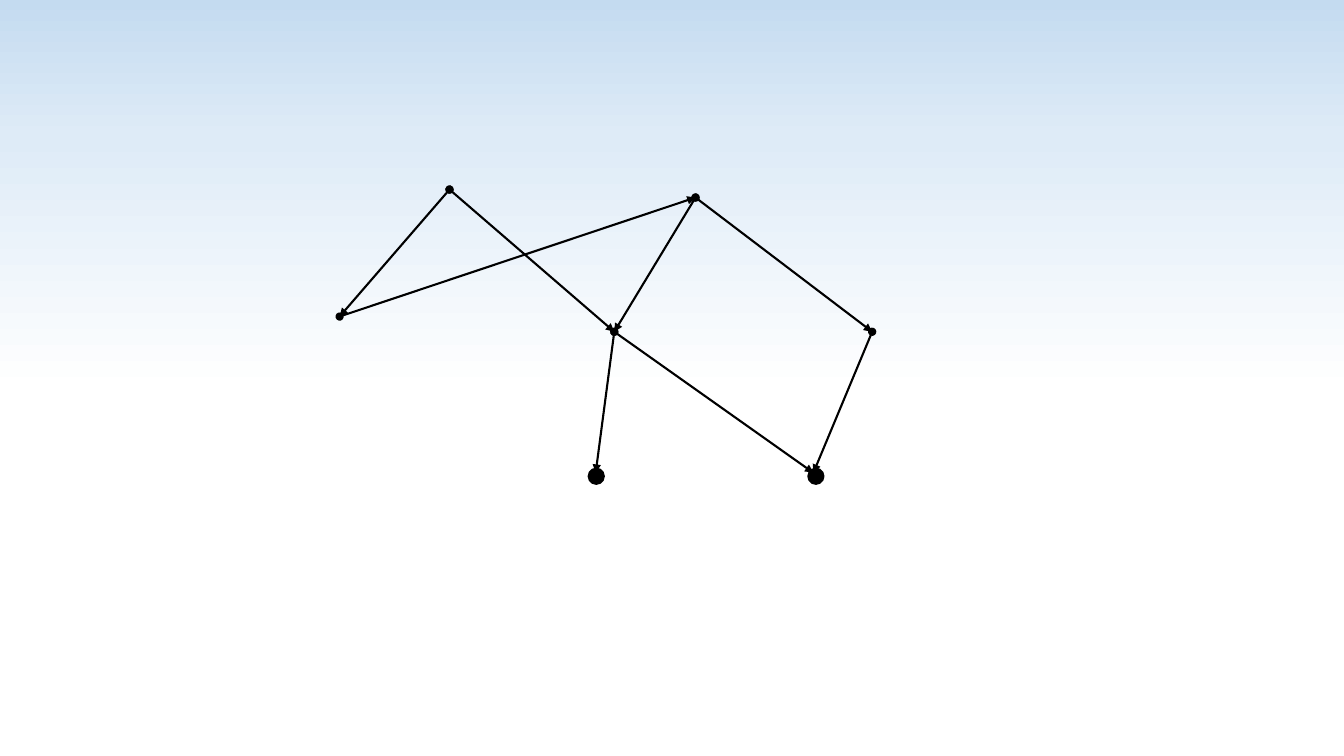
from copy import deepcopy

from lxml import etree
from pptx import Presentation
from pptx import util as u
from pptx.dml.color import RGBColor
from pptx.enum import shapes
from pptx.oxml import ns

BLACK = RGBColor(0x00, 0x00, 0x00)
SKY = RGBColor(0xC4, 0xDB, 0xF0)
PALE_SKY = RGBColor(0xDE, 0xEB, 0xF7)
WHITE = RGBColor(0xFF, 0xFF, 0xFF)

LINE_FORMAT = {"width": u.Pt(1.5)}
BACKGROUND_STOPS = [(0, SKY), (0.18, PALE_SKY), (0.52, WHITE), (0.93, WHITE)]
DOT_SIZE = 10.8

NODES = {
    "top left": (321.1, 135.4),
    "far left": (242.6, 226.1),
    "top right": (496.8, 141.1),
    "middle": (438.8, 237),
    "far right": (623, 237),
    "bottom left": (425.5, 337.7),
    "bottom right": (581, 337.7),
}
EDGES = [
    ("top left", "far left"),
    ("top right", "middle"),
    ("top left", "middle"),
    ("far left", "top right"),
    ("top right", "far right"),
    ("far right", "bottom right"),
    ("middle", "bottom right"),
    ("middle", "bottom left"),
]
DOT_CENTRES = [(425.9, 340.2), (582.8, 340.2)]


def paint_background(slide):
    """Fill the background with a vertical gradient."""
    fill = slide.background.fill
    fill.gradient()
    fill.gradient_angle = 270
    stop_list = slide.element.find(".//" + ns.qn("a:gsLst"))
    while len(stop_list) < len(BACKGROUND_STOPS):
        stop_list.append(deepcopy(stop_list[0]))
    for stop, (position, color) in zip(fill.gradient_stops, BACKGROUND_STOPS):
        stop.position = position
        stop.color.rgb = color


def format_line(line):
    """Give a line its colour and width."""
    line.color.rgb = BLACK
    for name, value in LINE_FORMAT.items():
        setattr(line, name, value)


def add_edge(slide, start, end):
    """Draw an arrow that starts with a round node."""
    connector = slide.shapes.add_connector(
        shapes.MSO_CONNECTOR.STRAIGHT, *map(u.Pt, start + end)
    )
    format_line(connector.line)
    properties = connector.element.spPr
    line = properties.find(ns.qn("a:ln"))
    for tag, kind in {"a:headEnd": "oval", "a:tailEnd": "triangle"}.items():
        etree.SubElement(line, ns.qn(tag), type=kind)
    etree.SubElement(properties, ns.qn("a:effectLst"))


def add_dot(slide, centre):
    """Draw a filled node around a centre point."""
    left, top = (u.Pt(value - DOT_SIZE / 2) for value in centre)
    shape = slide.shapes.add_shape(
        shapes.MSO_SHAPE.OVAL, left, top, u.Pt(DOT_SIZE), u.Pt(DOT_SIZE)
    )
    shape.shadow.inherit = False
    shape.fill.solid()
    shape.fill.fore_color.rgb = BLACK
    format_line(shape.line)


def main():
    """Build the directed graph slide."""
    presentation = Presentation()
    presentation.slide_width = u.Pt(960)
    presentation.slide_height = u.Pt(540)
    slide = presentation.slides.add_slide(presentation.slide_layouts[6])
    paint_background(slide)
    for start, end in EDGES:
        add_edge(slide, NODES[start], NODES[end])
    for centre in DOT_CENTRES:
        add_dot(slide, centre)
    presentation.save("out.pptx")


if __name__ == "__main__":
    main()
